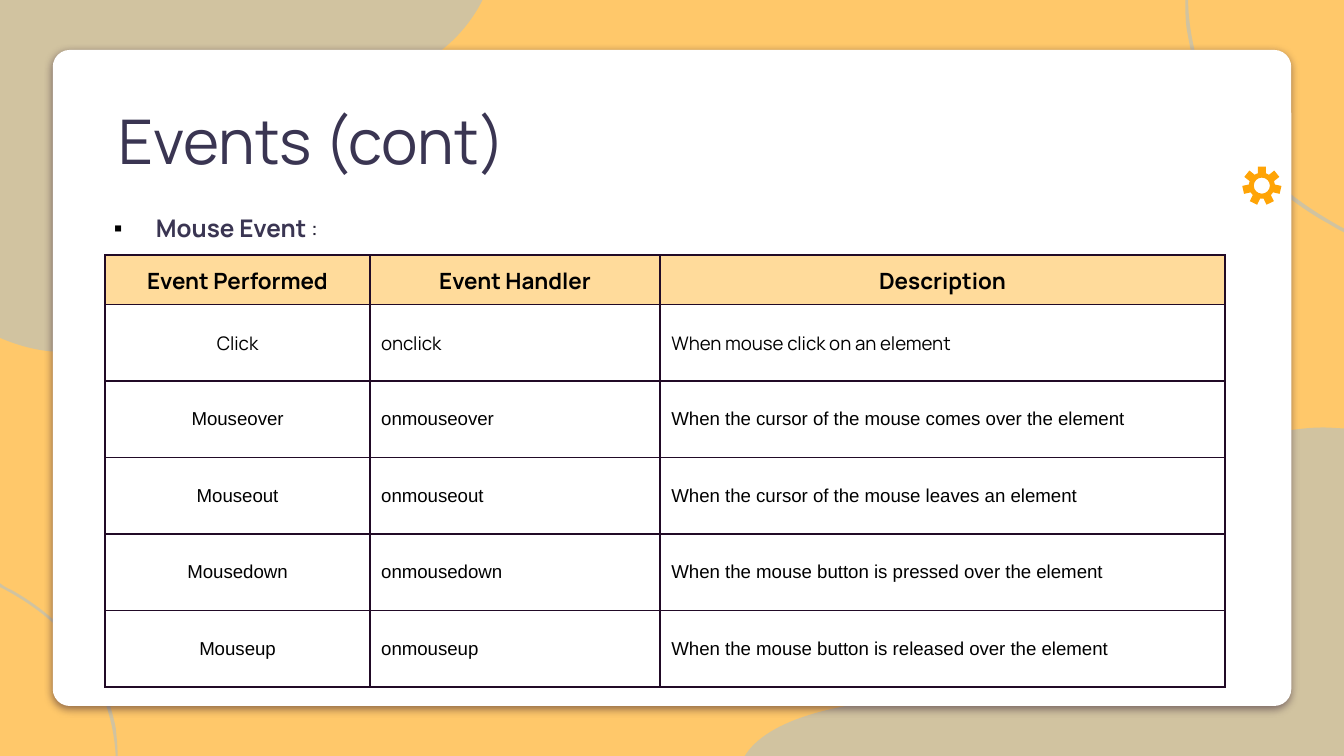
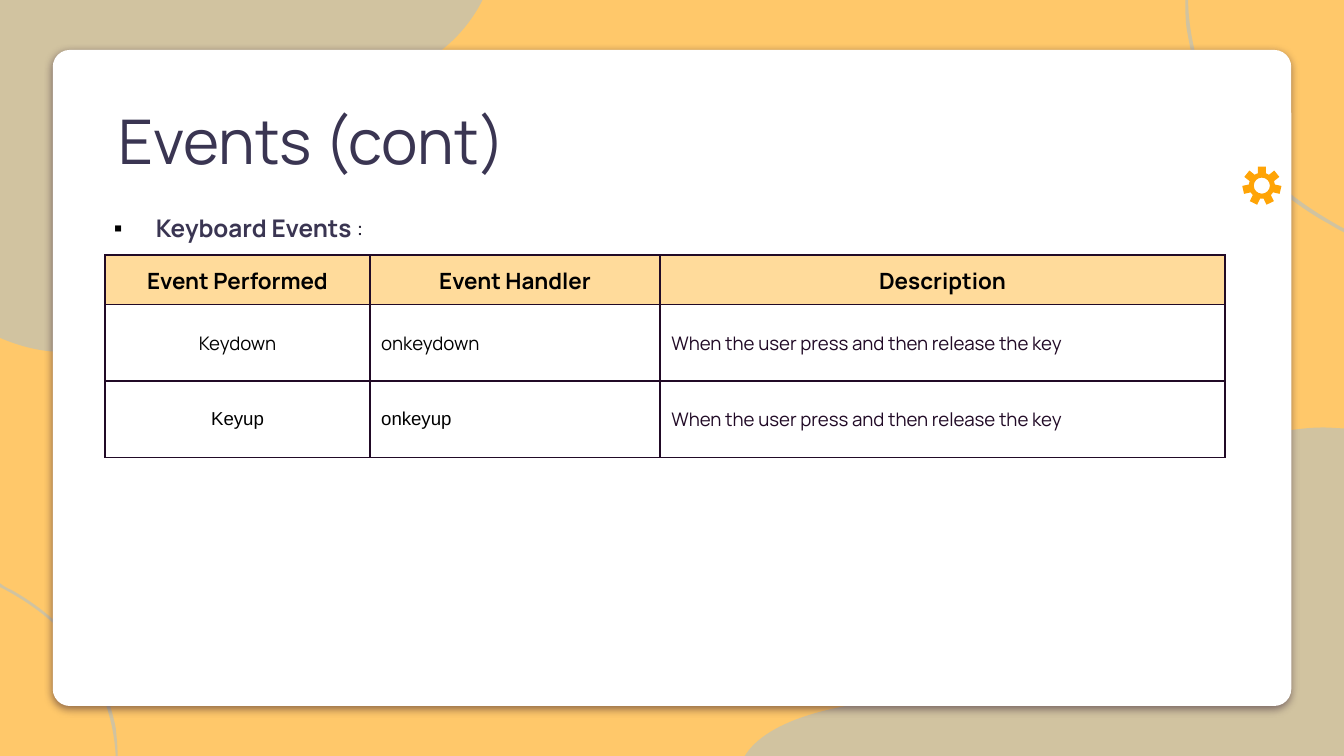
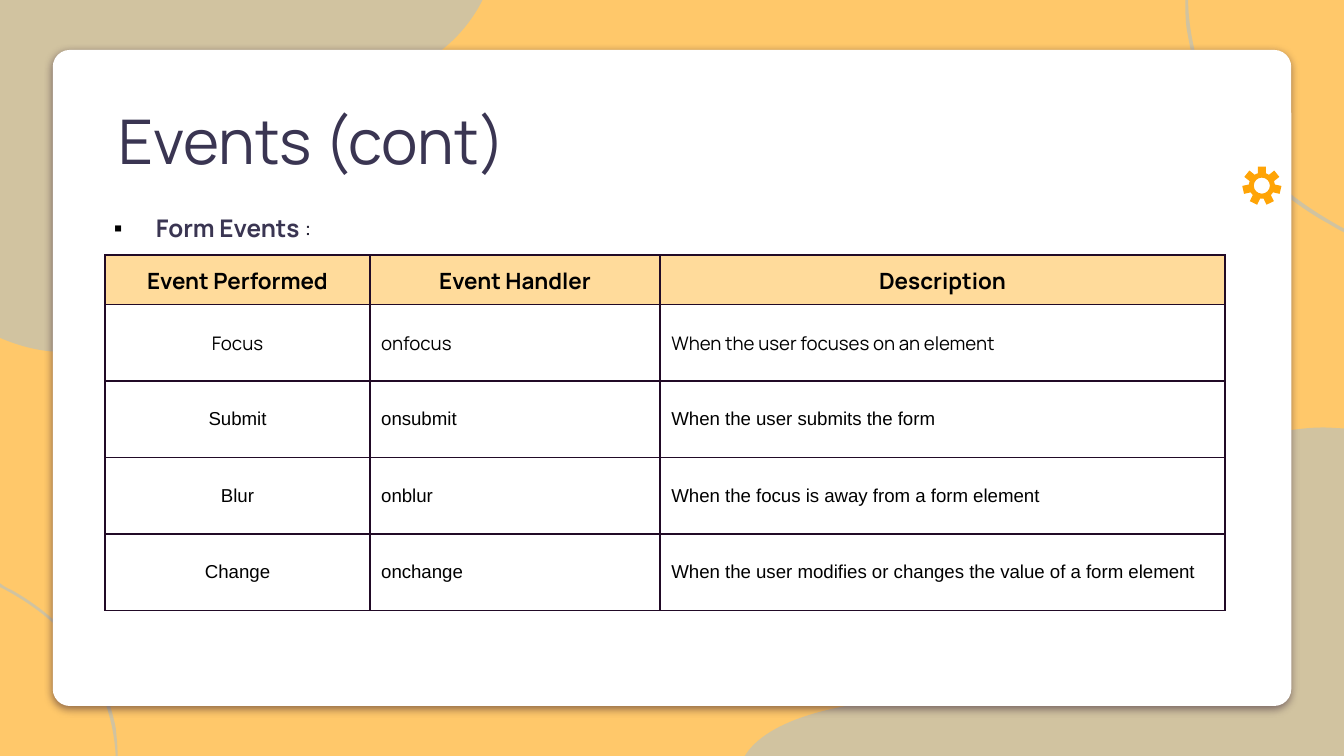
"""Builds three slides listing JavaScript mouse, keyboard and form events."""
from dataclasses import dataclass
from math import atan, cos, hypot, radians, sin, tan

from lxml import etree
from pptx import Presentation
from pptx.dml.color import RGBColor
from pptx.enum.shapes import MSO_SHAPE
from pptx.enum.text import MSO_ANCHOR, MSO_AUTO_SIZE, PP_ALIGN
from pptx.oxml.ns import qn
from pptx.util import Pt

ROUNDED = MSO_SHAPE.ROUNDED_RECTANGLE
TOP, MIDDLE = MSO_ANCHOR.TOP, MSO_ANCHOR.MIDDLE
LEFT, CENTER = PP_ALIGN.LEFT, PP_ALIGN.CENTER
NO_FIT, GROW = MSO_AUTO_SIZE.NONE, MSO_AUTO_SIZE.SHAPE_TO_FIT_TEXT

COLORS = {
    "background": "FFC86A",
    "wave": "A0BFDB",
    "panel": "FFFFFF",
    "gear": "FFA406",
    "title": "3A3552",
    "colon": "272436",
    "text": "000000",
    "plum": "210A26",
    "header": "FFDB9B",
}
DISPLAY_FONT, BODY_FONT = "Manrope", "Arial"
TITLE = "Events (cont)"
HEADERS = ("Event Performed", "Event Handler", "Description")
COLUMN_WIDTHS = (142, 155.5, 302.5)
HEADER_HEIGHT, ROW_HEIGHT = 26.5, 41
GEAR_CENTER = (676, 99.5)
GEAR_TEETH = 7
GEAR_ROOT, GEAR_TIP, GEAR_HOLE = 7, 10.5, 4.3
ROOT_ANGLE, TIP_ANGLE = 18, 12

Point = tuple[float, float]
Segment = tuple[float, ...]


@dataclass(frozen=True)
class Outline:
    """Closed outline: two numbers make a line, six a Bézier curve."""
    start: Point
    segments: tuple[Segment, ...]


@dataclass(frozen=True)
class EventSlide:
    """One event family with its table rows."""
    heading: str
    rows: tuple[tuple[str, str, str], ...]
    accent_descriptions: bool = False


@dataclass(frozen=True)
class TextStyle:
    """Character formatting of a run."""
    size: float
    color: str
    font: str = DISPLAY_FONT
    bold: bool = False


WAVES = (
    Outline((636.5, 0), (
        (637, 26, 646, 52.5, 661, 73.5), (677, 94.5, 697, 110, 720, 122.5),
        (720, 124.5), (717, 123, 714.5, 121.5, 712, 120),
        (693.5, 110, 677, 96, 663, 79), (649.5, 62, 640, 41, 636.5, 19.5),
        (635, 13, 635, 6.5, 635, 0))),
    Outline((32.5, 188.5), (
        (16, 188.5, 0, 181, 0, 181), (0, 0), (258.5, 0),
        (225.5, 65.5, 123, 52.5, 80.5, 65.5), (38, 78.5, 85, 141, 62, 174),
        (54, 186, 43, 188.5, 32.5, 188.5))),
    Outline((399, 405), (
        (410.5, 386, 449.5, 373.5, 512.5, 373.5),
        (515, 373.5, 517.5, 373.5, 520, 373.5), (520.5, 373.5, 521, 373.5, 522, 373.5),
        (617, 373.5, 576.5, 290, 647.5, 246), (666, 234.5, 691, 229, 709, 229),
        (713.5, 229, 717, 229.5, 720, 229.5), (720, 405))),
    Outline((62, 405), (
        (61, 386, 54.5, 366.5, 43, 350.5), (32.5, 335, 17.5, 323.5, 0, 314.5),
        (0, 312.5), (2, 314, 3.5, 315, 6, 316),
        (19.5, 323.5, 32.5, 334, 42.5, 346.5), (52.5, 359.5, 59, 374.5, 62, 390),
        (62.5, 395, 63, 400, 63, 405))),
)

EVENT_SLIDES = (
    EventSlide("Mouse Event ", (
        ("Click", "onclick", "When mouse click on an element"),
        ("Mouseover", "onmouseover", "When the cursor of the mouse comes over the element"),
        ("Mouseout", "onmouseout", "When the cursor of the mouse leaves an element"),
        ("Mousedown", "onmousedown", "When the mouse button is pressed over the element"),
        ("Mouseup", "onmouseup", "When the mouse button is released over the element"))),
    EventSlide("Keyboard Events ", (
        ("Keydown", "onkeydown", "When the user press and then release the key"),
        ("Keyup", "onkeyup", "When the user press and then release the key")),
        accent_descriptions=True),
    EventSlide("Form Events ", (
        ("Focus", "onfocus", "When the user focuses on an element"),
        ("Submit", "onsubmit", "When the user submits the form"),
        ("Blur", "onblur", "When the focus is away from a form element"),
        ("Change", "onchange", "When the user modifies or changes the value of a form element"))),
)


def rgb(name: str) -> RGBColor:
    """Return a named colour."""
    return RGBColor.from_string(COLORS[name])


def add_child(parent, tag: str, **attributes: str):
    """Append a drawing element with the given attributes."""
    return etree.SubElement(parent, qn(tag), attributes)


def style_run(run, style: TextStyle) -> None:
    """Apply a text style to a run."""
    run.font.size = Pt(style.size)
    run.font.name = style.font
    run.font.bold = style.bold
    run.font.color.rgb = rgb(style.color)


def set_margins(target, horizontal: float, vertical: float) -> None:
    """Set the insets of a text frame or cell."""
    target.margin_left = target.margin_right = Pt(horizontal)
    target.margin_top = target.margin_bottom = Pt(vertical)


def paint(shape, color: str) -> None:
    """Give a shape a plain fill without line or shadow."""
    shape.shadow.inherit = False
    shape.fill.solid()
    shape.fill.fore_color.rgb = rgb(color)
    shape.line.fill.background()


def segment_points(segment: Segment) -> list[Point]:
    """Return the points of a segment in slide units."""
    return [(Pt(x), Pt(y)) for x, y in zip(segment[::2], segment[1::2])]


def bend_curves(shape, outlines: list[Outline]) -> None:
    """Join each three line steps of a curve into one Bézier step."""
    steps = shape.element.iter(qn("a:lnTo"))
    lines = iter(list(steps))
    for outline in outlines:
        for segment in outline.segments:
            members = [next(lines) for _ in segment[::2]]
            if len(members) == 3:
                curve = etree.Element(qn("a:cubicBezTo"))
                members[0].addprevious(curve)
                for member in members:
                    curve.append(member[0])
                    member.getparent().remove(member)


def add_freeform(slide, outlines: list[Outline], color: str):
    """Draw closed outlines as one filled freeform."""
    builder = slide.shapes.build_freeform(*segment_points(outlines[0].start)[0])
    for index, outline in enumerate(outlines):
        if index:
            builder.move_to(*segment_points(outline.start)[0])
        points = [point for segment in outline.segments for point in segment_points(segment)]
        builder.add_line_segments(points, close=True)
    shape = builder.convert_to_shape()
    bend_curves(shape, outlines)
    paint(shape, color)
    return shape


def add_wave(slide, wave: Outline):
    """Draw a translucent background wave."""
    shape = add_freeform(slide, [wave], "wave")
    add_child(shape.element.find(".//" + qn("a:srgbClr")), "a:alpha", val="48000")
    return shape


def add_panel(slide):
    """Draw the white rounded panel with its soft shadow."""
    panel = slide.shapes.add_shape(ROUNDED, Pt(28.25), Pt(26.75), Pt(663.5), Pt(351.5))
    panel.adjustments[0] = 0.026
    paint(panel, "panel")
    effects = panel.element.find(".//" + qn("a:effectLst"))
    shadow = add_child(effects, "a:outerShdw", blurRad=str(Pt(4.5)), dist=str(Pt(1.5)),
                       dir="5400000", algn="bl", rotWithShape="0")
    color = add_child(shadow, "a:srgbClr", val=COLORS["plum"])
    add_child(color, "a:alpha", val="50000")
    return panel


def move_backdrop_to_layout(slide, layout) -> None:
    """Draw the shared backdrop and hand it to the layout."""
    layout.background.fill.solid()
    layout.background.fill.fore_color.rgb = rgb("background")
    for placeholder in list(layout.placeholders)[1:]:
        layout.shapes.element.remove(placeholder.element)
    backdrop = [add_wave(slide, wave) for wave in WAVES] + [add_panel(slide)]
    for shape in backdrop:
        layout.shapes.element.append(shape.element)


def polar(angle: float, radius: float) -> Point:
    """Return a point around the gear centre, clockwise from the top."""
    x, y = GEAR_CENTER
    return x + radius * sin(radians(angle)), y - radius * cos(radians(angle))


def arc(start: float, end: float, radius: float) -> Segment:
    """Return the Bézier segment of an arc around the gear centre."""
    handle = 4 / 3 * tan(radians(end - start) / 4)
    turn = atan(handle) / radians(1)
    reach = radius * hypot(1, handle)
    return polar(start + turn, reach) + polar(end - turn, reach) + polar(end, radius)


def add_gear(slide) -> None:
    """Draw the gear with a round hole."""
    pitch = 360 / GEAR_TEETH
    teeth = []
    for tooth in range(GEAR_TEETH):
        middle = tooth * pitch
        teeth += [polar(middle - TIP_ANGLE, GEAR_TIP), polar(middle + TIP_ANGLE, GEAR_TIP),
                  polar(middle + ROOT_ANGLE, GEAR_ROOT),
                  arc(middle + ROOT_ANGLE, middle + pitch - ROOT_ANGLE, GEAR_ROOT)]
    hole = [arc(angle, angle - 90, GEAR_HOLE) for angle in range(360, 0, -90)]
    add_freeform(slide, [Outline(polar(0, GEAR_HOLE), tuple(hole)),
                         Outline(polar(-ROOT_ANGLE, GEAR_ROOT), tuple(teeth))], "gear")


def set_title(slide) -> None:
    """Place and format the slide title."""
    title = slide.shapes.title
    title.left, title.top, title.width, title.height = Pt(56.25), Pt(42.25), Pt(538.5), Pt(56)
    frame = title.text_frame
    frame.text = TITLE
    frame.word_wrap = True
    frame.auto_size = NO_FIT
    frame.vertical_anchor = TOP
    set_margins(frame, 7.2, 7.2)
    paragraph = frame.paragraphs[0]
    paragraph.alignment = LEFT
    paragraph.line_spacing = 1.15
    style_run(paragraph.runs[0], TextStyle(33, "title"))


def add_heading(slide, heading: str) -> None:
    """Add the bulleted heading above the table."""
    box = slide.shapes.add_textbox(Pt(54), Pt(103), Pt(559.5), Pt(29))
    frame = box.text_frame
    frame.word_wrap = True
    frame.auto_size = GROW
    paragraph = frame.paragraphs[0]
    paragraph.line_spacing = 1.5
    for text, style in ((heading, TextStyle(13, "title", bold=True)),
                        (":", TextStyle(13, "colon"))):
        run = paragraph.add_run()
        run.text = text
        style_run(run, style)
    properties = box.element.find(".//" + qn("a:pPr"))
    properties.set("marL", str(Pt(22.5)))
    properties.set("indent", str(Pt(-22.5)))
    bullet_color = add_child(properties, "a:buClr")
    add_child(bullet_color, "a:srgbClr", val=COLORS["text"])
    add_child(properties, "a:buFont", typeface=BODY_FONT)
    add_child(properties, "a:buChar", char="▪")


def fill_cell(cell, text: str, style: TextStyle, alignment, fill: str, vertical: float) -> None:
    """Write and format one bordered table cell."""
    cell.text_frame.text = text
    cell.vertical_anchor = MIDDLE
    set_margins(cell, 6, vertical)
    paragraph = cell.text_frame.paragraphs[0]
    paragraph.alignment = alignment
    style_run(paragraph.runs[0], style)
    properties = cell._tc.get_or_add_tcPr()
    for side in ("a:lnL", "a:lnR", "a:lnT", "a:lnB"):
        line = add_child(properties, side, w=str(Pt(1)))
        line_fill = add_child(line, "a:solidFill")
        add_child(line_fill, "a:srgbClr", val=COLORS["plum"])
    cell.fill.solid()
    cell.fill.fore_color.rgb = rgb(fill)


def add_event_table(slide, event_slide: EventSlide) -> None:
    """Add the table of events, handlers and descriptions."""
    rows = event_slide.rows
    table = slide.shapes.add_table(
        len(rows) + 1, len(HEADERS), Pt(56.25), Pt(136.75), Pt(sum(COLUMN_WIDTHS)),
        Pt(HEADER_HEIGHT + len(rows) * ROW_HEIGHT)).table
    for column, width in zip(table.columns, COLUMN_WIDTHS):
        column.width = Pt(width)
    for index, row in enumerate(table.rows):
        row.height = Pt(ROW_HEIGHT if index else HEADER_HEIGHT)
    for column, header in enumerate(HEADERS):
        fill_cell(table.cell(0, column), header, TextStyle(12, "text", bold=True),
                  CENTER, "header", 5.4)
    for row_index, values in enumerate(rows, start=1):
        for column, value in enumerate(values):
            accent = event_slide.accent_descriptions and column == 2
            font = DISPLAY_FONT if row_index == 1 or accent else BODY_FONT
            style = TextStyle(10, "plum" if accent else "text", font)
            fill_cell(table.cell(row_index, column), value, style,
                      LEFT if column else CENTER, "panel", 8.6)


def main() -> None:
    """Build and save the presentation."""
    presentation = Presentation()
    presentation.slide_width, presentation.slide_height = Pt(720), Pt(405)
    layout = presentation.slide_layouts[5]
    for index, event_slide in enumerate(EVENT_SLIDES):
        slide = presentation.slides.add_slide(layout)
        if index == 0:
            move_backdrop_to_layout(slide, layout)
        add_gear(slide)
        set_title(slide)
        add_heading(slide, event_slide.heading)
        add_event_table(slide, event_slide)
    presentation.save("out.pptx")


if __name__ == "__main__":
    main()
